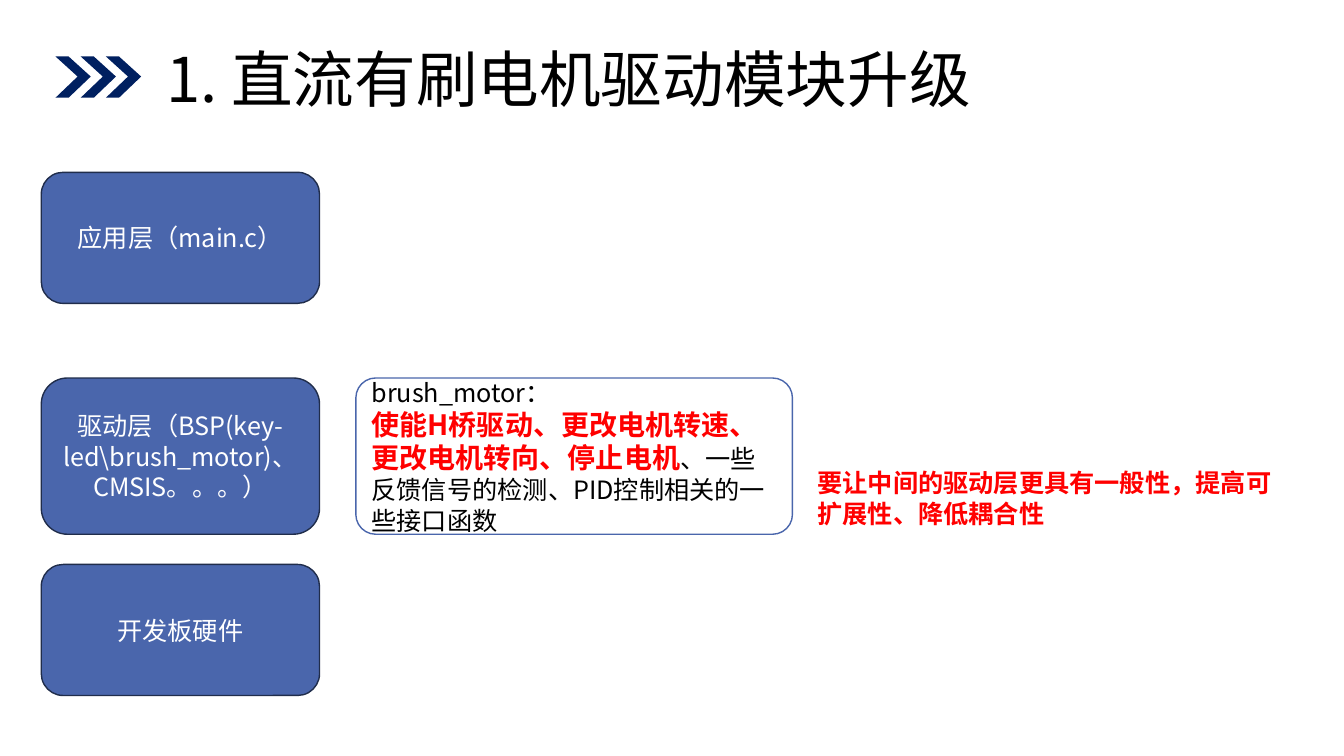
import dataclasses

import lxml.etree
import pptx
import pptx.dml.color
import pptx.enum.shapes
import pptx.enum.text
import pptx.oxml.ns
import pptx.util

Inches = pptx.util.Inches
COLORS = {
    "navy": "002060",
    "blue": "4A66AC",
    "edge": "202D4B",
    "white": "FFFFFF",
    "black": "000000",
    "red": "FF0000",
}
FONT = "Noto Sans CJK SC"


@dataclasses.dataclass
class Card:
    text: str
    left: float
    top: float
    width: float
    height: float
    fill: str = "blue"
    line: str = "edge"
    corner: float = 0.16667


LAYERS = [
    Card("应用层（main.c）", 0.41, 1.71, 2.76, 1.3),
    Card("驱动层（BSP(key-led\\brush_motor)、CMSIS。。。）", 0.41, 3.75, 2.76, 1.55),
    Card("开发板硬件", 0.41, 5.6, 2.76, 1.3),
]
MOTOR_CARD = Card("brush_motor：", 3.53, 3.75, 4.33, 1.55, "white", "blue", 0.127)


def rgb(name: str) -> pptx.dml.color.RGBColor:
    return pptx.dml.color.RGBColor.from_string(COLORS[name])


def add_text(para, text: str, size: float = 18, color: str = "black", bold: bool = False) -> None:
    span = para.add_run()
    span.text = text
    span.font.size = pptx.util.Pt(size)
    span.font.bold = bold
    span.font.color.rgb = rgb(color)
    span.font.name = FONT
    properties = span.font._element
    east_asian = lxml.etree.SubElement(properties, pptx.oxml.ns.qn("a:ea"))
    east_asian.set("typeface", FONT)


def add_card(page, card: Card):
    box = page.shapes.add_shape(
        pptx.enum.shapes.MSO_SHAPE.ROUNDED_RECTANGLE,
        Inches(card.left), Inches(card.top), Inches(card.width), Inches(card.height),
    )
    box.adjustments[0] = card.corner
    box.shadow.inherit = False
    box.fill.solid()
    box.fill.fore_color.rgb = rgb(card.fill)
    box.line.color.rgb = rgb(card.line)
    box.line.width = pptx.util.Pt(1)
    box.text_frame.word_wrap = True
    box.text_frame.vertical_anchor = pptx.enum.text.MSO_ANCHOR.MIDDLE
    return box


def add_text_box(page, left: float, top: float, width: float, height: float):
    box = page.shapes.add_textbox(Inches(left), Inches(top), Inches(width), Inches(height))
    box.text_frame.word_wrap = True
    return box


def add_chevron(page, left: float) -> None:
    top, middle, bottom = 0.56, 0.76, 0.97
    outline = [(0.13, top), (0.35, middle), (0.13, bottom), (0, bottom), (0.22, middle)]
    builder = page.shapes.build_freeform(Inches(left), Inches(top))
    builder.add_line_segments([(Inches(left + x), Inches(y)) for x, y in outline])
    chevron = builder.convert_to_shape()
    chevron.shadow.inherit = False
    chevron.fill.solid()
    chevron.fill.fore_color.rgb = rgb("navy")
    chevron.line.fill.background()


def main() -> None:
    deck = pptx.Presentation()
    deck.slide_width = Inches(13.33)
    deck.slide_height = Inches(7.5)
    page = deck.slides.add_slide(deck.slide_layouts[6])

    for index in range(3):
        add_chevron(page, 0.55 + 0.25 * index)

    title = add_text_box(page, 1.55, 0.4, 11.23, 0.83)
    title.text_frame.vertical_anchor = pptx.enum.text.MSO_ANCHOR.MIDDLE
    title_para = title.text_frame.paragraphs[0]
    title_para.line_spacing = 0.9
    add_text(title_para, "1. 直流有刷电机驱动模块升级", size=44)

    for layer in LAYERS:
        para = add_card(page, layer).text_frame.paragraphs[0]
        para.alignment = pptx.enum.text.PP_ALIGN.CENTER
        add_text(para, layer.text, color="white")

    motor_frame = add_card(page, MOTOR_CARD).text_frame
    heading = motor_frame.paragraphs[0]
    details = motor_frame.add_paragraph()
    for para in (heading, details):
        para.alignment = pptx.enum.text.PP_ALIGN.LEFT
    add_text(heading, MOTOR_CARD.text)
    add_text(details, "使能H桥驱动、更改电机转速、更改电机转向、停止电机", size=20, color="red", bold=True)
    add_text(details, "、一些反馈信号的检测、PID控制相关的一些接口函数")

    remark = add_text_box(page, 8.01, 4.59, 4.92, 0.71)
    remark.text_frame.auto_size = pptx.enum.text.MSO_AUTO_SIZE.SHAPE_TO_FIT_TEXT
    add_text(
        remark.text_frame.paragraphs[0],
        "要让中间的驱动层更具有一般性，提高可扩展性、降低耦合性",
        color="red", bold=True,
    )

    deck.save("out.pptx")


if __name__ == "__main__":
    main()
